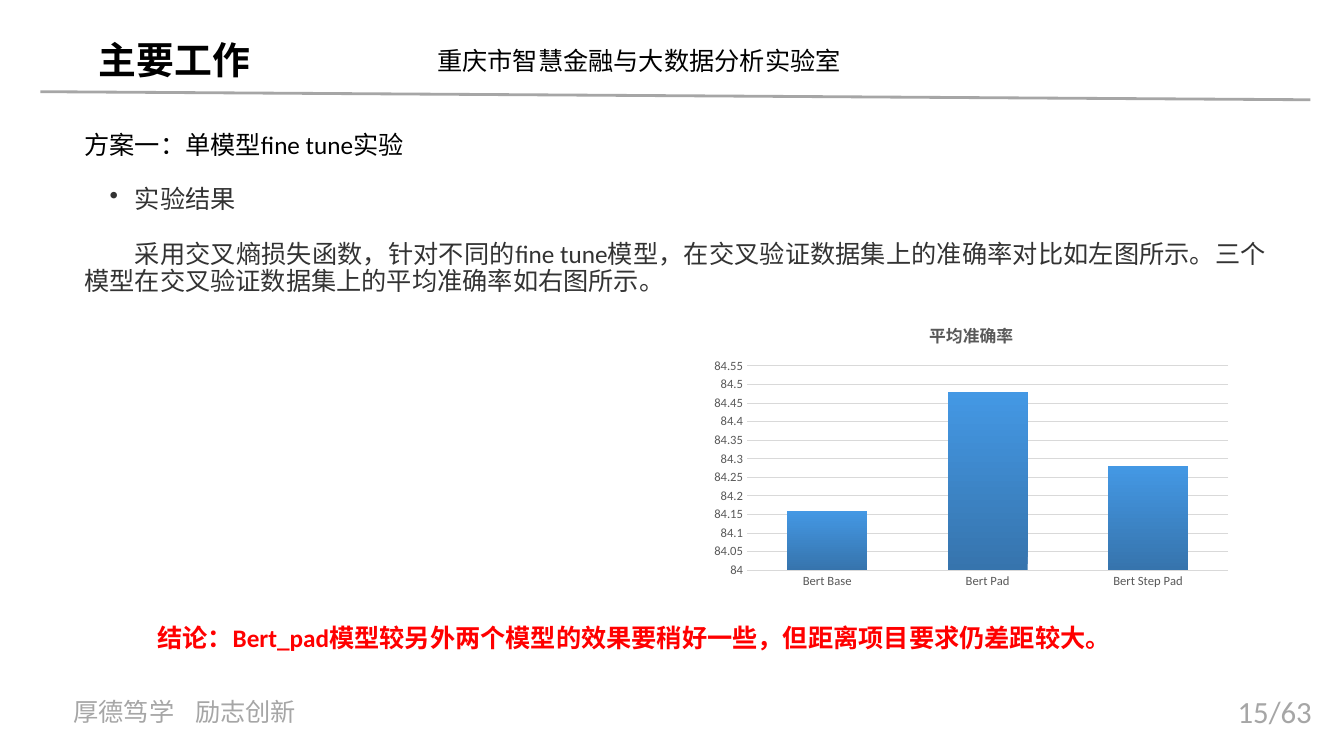
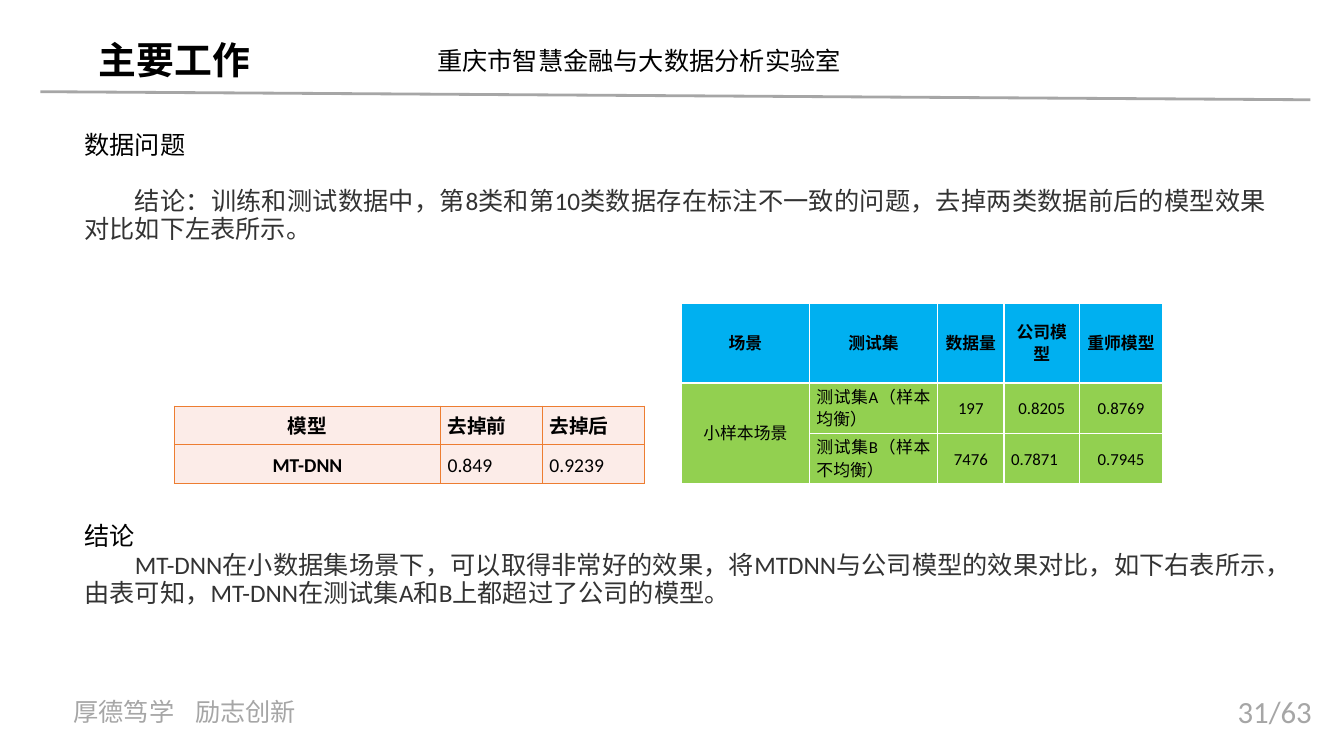
from pptx import Presentation
from pptx.chart.data import CategoryChartData
from pptx.dml.color import RGBColor
from pptx.enum.chart import XL_CHART_TYPE, XL_TICK_MARK
from pptx.enum.shapes import MSO_CONNECTOR
from pptx.enum.text import MSO_ANCHOR, PP_ALIGN
from pptx.oxml.xmlchemy import OxmlElement
from pptx.util import Inches, Pt

WIDE, HIGH = Inches(13.33), Inches(7.5)
LATIN, HAN = "Calibri", "Noto Sans CJK SC"
BLACK, DARK, GREY, RED = "000000", "333333", "A6A6A6", "FF0000"
LABEL, RULE = "595959", "D9D9D9"
PEACH, RUST, BLUE, GREEN, WHITE = "FCECE8", "ED7D31", "00B0F0", "92D050", "FFFFFF"
LEFT, MID, JUST = PP_ALIGN.LEFT, PP_ALIGN.CENTER, PP_ALIGN.JUSTIFY
TOTAL = 63


def across(share):
    """Percent of the slide's width as a length."""
    return int(WIDE * share / 100)


def down(share):
    """Percent of the slide's height as a length."""
    return int(HIGH * share / 100)


def area(left, top, width, height):
    return across(left), down(top), across(width), down(height)


def tint(code):
    return RGBColor.from_string(code)


def assign(item, **values):
    for name, value in values.items():
        setattr(item, name, value)


def style(font, size, color, bold=False):
    assign(font, size=Pt(size), bold=bold, name=LATIN)
    font.color.rgb = tint(color)


def write(para, text, size, color, bold=False, **layout):
    """Fill a paragraph with one run in the deck's two fonts."""
    assign(para, **layout)
    run = para.add_run()
    run.text = text
    style(run.font, size, color, bold)
    east = OxmlElement("a:ea")
    east.set("typeface", HAN)
    run.font._element.append(east)


def indent(para, margin, first, mark=None):
    props = para._p.get_or_add_pPr()
    props.set("marL", str(Inches(margin)))
    props.set("indent", str(Inches(first)))
    if mark:
        bullet = OxmlElement("a:buChar")
        bullet.set("char", mark)
        props.append(bullet)


def frame(slide, *place):
    box = slide.shapes.add_textbox(*area(*place)).text_frame
    box.word_wrap = True
    return box


def label(slide, place, text, size, color, bold=False):
    write(frame(slide, *place).paragraphs[0], text, size, color, bold)


def body(slide, top, items, pitch, gap=0):
    """Stack justified paragraphs: text, colour, margin, first indent, mark."""
    box = frame(slide, 5.55, top, 89.4, 20)
    for row, (text, color, *shift) in enumerate(items):
        para = box.add_paragraph() if row else box.paragraphs[0]
        write(para, text, 18, color, alignment=JUST, line_spacing=Pt(pitch),
              space_before=Pt(gap if row else 0))
        indent(para, *shift)


def border(cell, color):
    props = cell._tc.get_or_add_tcPr()
    for side in "LRTB":
        line = OxmlElement(f"a:ln{side}")
        line.set("w", str(Pt(1)))
        fill, code = OxmlElement("a:solidFill"), OxmlElement("a:srgbClr")
        code.set("val", color)
        fill.append(code)
        line.append(fill)
        props.append(line)


def grid(slide, left, top, cols, rows, cells, edge, size, pitch):
    """Add a table; each cell is text, fill, alignment, bold."""
    place = area(left, top, sum(cols), sum(rows))
    table = slide.shapes.add_table(len(rows), len(cols), *place).table
    assign(table, first_row=False, horz_banding=False)
    for col, share in zip(table.columns, cols):
        col.width = across(share)
    for row, share in zip(table.rows, rows):
        row.height = down(share)
    for cell, (text, fill, align, bold) in zip(table.iter_cells(), cells):
        assign(cell, vertical_anchor=MSO_ANCHOR.MIDDLE,
               margin_left=Inches(0.07), margin_right=Inches(0.07),
               margin_top=Inches(0.02), margin_bottom=Inches(0.02))
        border(cell, edge)
        cell.fill.solid()
        cell.fill.fore_color.rgb = tint(fill)
        write(cell.text_frame.paragraphs[0], text, size, BLACK, bold,
              alignment=align, line_spacing=Pt(pitch))
    return table


def bars(slide, place, title, names, values):
    data = CategoryChartData()
    data.categories = names
    data.add_series(title, values)
    chart = slide.shapes.add_chart(
        XL_CHART_TYPE.COLUMN_CLUSTERED, *area(*place), data).chart
    assign(chart, has_legend=False, has_title=True)
    style(chart.font, 10, LABEL)
    write(chart.chart_title.text_frame.paragraphs[0], title, 12, LABEL, True)
    plot = chart.plots[0]
    assign(plot, gap_width=100, overlap=-24, vary_by_categories=False)
    fill = plot.series[0].format.fill
    fill.gradient()
    fill.gradient_angle = 90
    for stop, code in zip(fill.gradient_stops, ("3674AD", "4498E4")):
        stop.color.rgb = tint(code)
    names_axis, scale = chart.category_axis, chart.value_axis
    for axis in (names_axis, scale):
        axis.major_tick_mark = XL_TICK_MARK.NONE
        style(axis.tick_labels.font, 9, LABEL)
    assign(scale, minimum_scale=84, maximum_scale=84.55, major_unit=0.05)
    assign(scale.tick_labels, number_format="General",
           number_format_is_linked=False)
    scale.format.line.fill.background()
    for line, width in ((names_axis.format.line, 1),
                        (scale.major_gridlines.format.line, 0.75)):
        line.color.rgb = tint(RULE)
        line.width = Pt(width)


def start(deck, page):
    """Add a slide with the shared heading, rule and footer."""
    slide = deck.slides.add_slide(deck.slide_layouts[6])
    label(slide, (6.6, 4.13, 15, 7.47), "主要工作", 27, BLACK, True)
    label(slide, (31.8, 5.33, 33, 5.33), "重庆市智慧金融与大数据分析实验室", 18, BLACK)
    for left, text in ((4.73, "厚德笃学"), (13.8, "励志创新")):
        label(slide, (left, 91.47, 10, 5.33), text, 18, GREY)
    label(slide, (91.35, 90.93, 8.63, 6.27), f"{page}/{TOTAL}", 22, GREY)
    rule = slide.shapes.add_connector(
        MSO_CONNECTOR.STRAIGHT, across(3), down(12.13), across(97.5), down(13.2))
    rule.line.color.rgb = tint(GREY)
    rule.line.width = Pt(2)
    rule._element.spPr.append(OxmlElement("a:effectLst"))
    return slide


def results(deck):
    slide = start(deck, 15)
    body(slide, 16.8, [
        ("方案一：单模型fine tune实验", BLACK, 0, 0),
        ("实验结果", DARK, 0.5, -0.25, "•"),
        ("采用交叉熵损失函数，针对不同的fine tune模型，在交叉验证数据集上的准确率对比如左图所示。"
         "三个模型在交叉验证数据集上的平均准确率如右图所示。", DARK, 0, 0.5),
    ], 19.5, 19.5)
    bars(slide, (52.35, 40.53, 39.83, 38.13), "平均准确率",
         ("Bert Base", "Bert Pad", "Bert Step Pad"), (84.16, 84.48, 84.28))
    label(slide, (10.95, 81.6, 80, 5.33),
          "结论：Bert_pad模型较另外两个模型的效果要稍好一些，但距离项目要求仍差距较大。",
          18, RED, True)


def issues(deck):
    slide = start(deck, 31)
    body(slide, 16.8, [
        ("数据问题", BLACK, 0, 0),
        ("结论：训练和测试数据中，第8类和第10类数据存在标注不一致的问题，"
         "去掉两类数据前后的模型效果对比如下左表所示。", DARK, 0, 0.5),
    ], 20, 20)
    body(slide, 68.53, [
        ("结论", BLACK, 0, 0),
        ("MT-DNN在小数据集场景下，可以取得非常好的效果，将MTDNN与公司模型的效果对比，"
         "如下右表所示，由表可知，MT-DNN在测试集A和B上都超过了公司的模型。", DARK, 0, 0.5),
    ], 20)
    grid(slide, 12.98, 53.73, (19.8, 7.58, 7.58), (5.07, 5.2), [
        ("模型", PEACH, MID, True),
        ("去掉前", PEACH, LEFT, True),
        ("去掉后", PEACH, LEFT, True),
        ("MT-DNN", PEACH, MID, True),
        ("0.849", PEACH, LEFT, False),
        ("0.9239", PEACH, LEFT, False),
    ], RUST, 14, 20)
    heads = ("场景", "测试集", "数据量", "公司模型", "重师模型")
    tests = (("小样本场景", "测试集A（样本均衡）", "197", "0.8205", "0.8769"),
             ("", "测试集B（样本不均衡）", "7476", "0.7871", "0.7945"))
    cells = [(text, BLUE, MID, True) for text in heads]
    for row in tests:
        cells += [(text, GREEN, JUST if text.startswith("测") or text == "0.7871"
                   else MID, False) for text in row]
    table = grid(slide, 50.7, 40.13, (9.53, 9.53, 4.95, 5.63, 6.15),
                 (10.53, 6.67, 6.67), cells, WHITE, 12, 16)
    table.cell(1, 0).merge(table.cell(2, 0))


def main():
    deck = Presentation()
    assign(deck, slide_width=WIDE, slide_height=HIGH)
    results(deck)
    issues(deck)
    deck.save("out.pptx")


if __name__ == "__main__":
    main()
